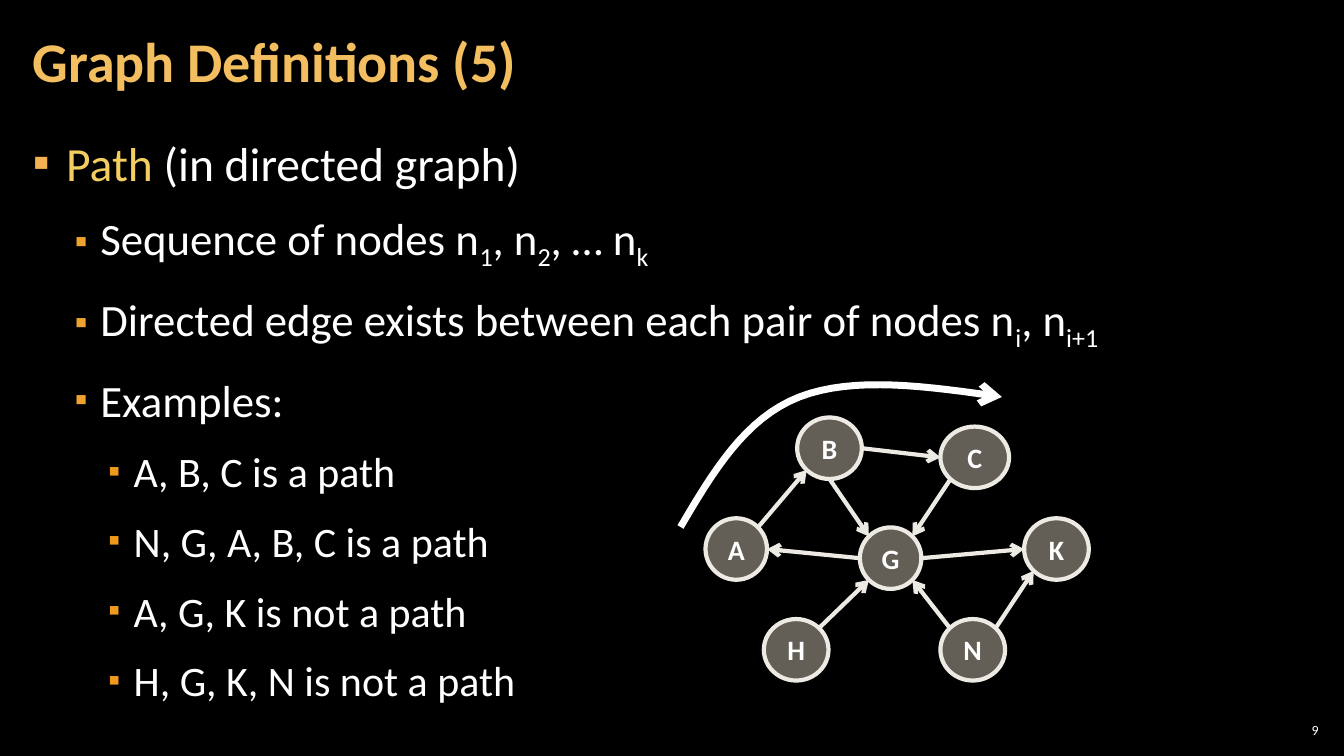
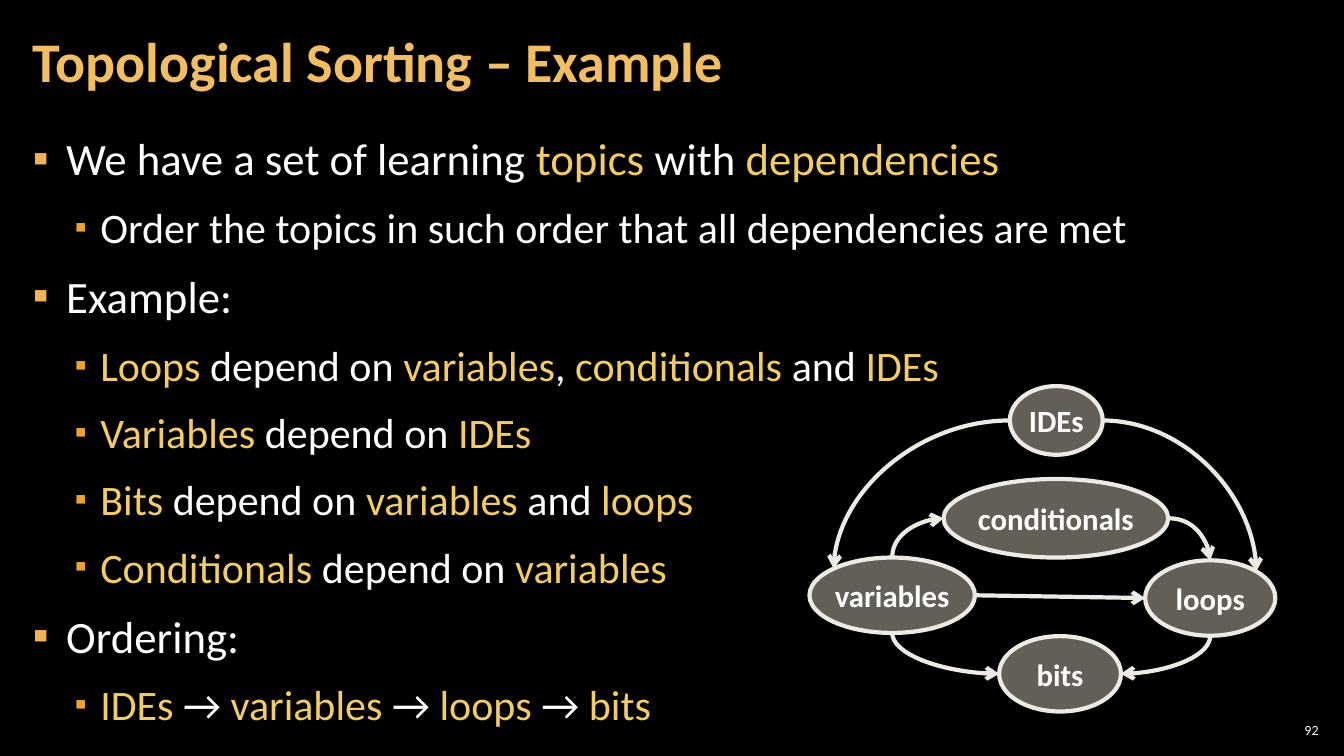
import math

import pptx
import pptx.dml.color
import pptx.enum.shapes
import pptx.enum.text
import pptx.oxml
import pptx.oxml.ns
import pptx.util
from lxml import etree

Cm = pptx.util.Cm
Pt = pptx.util.Pt
ALIGN = pptx.enum.text.PP_ALIGN
ANCHOR = pptx.enum.text.MSO_ANCHOR
CONNECTOR = pptx.enum.shapes.MSO_CONNECTOR
qn = pptx.oxml.ns.qn

FONT = "Calibri"
BLACK, WHITE = "000000", "FFFFFF"
TITLE_COLOR, HIGHLIGHT = "F3BE60", "F3CD60"
NODE_FILL, NODE_LINE = "C7BFAC", "ECEAE3"

TITLE_BOX = (0.53, 0.1, 26.6, 3.07)
BODY_BOX = (0.53, 3.2, 32.8, 15.47)
NUMBER_BOX = (32.13, 18.13, 1.2, 0.55)

LEVELS = [
    {"left": 0.84, "hang": 0.84, "color": "F2B254", "percent": 100},
    {"left": 1.7, "hang": 0.64, "color": "F0A22E", "percent": 80},
    {"left": 2.54, "hang": 0.64, "color": "EF9A1D", "percent": 80},
]
SITES = ["top", "top left", "left", "bottom left",
         "bottom", "bottom right", "right", "top right"]

PATH_LINES = [
    (0, "|Path| (in directed graph)"),
    (1, "Sequence of nodes n~1~, n~2~, … n~k"),
    (1, "Directed edge exists between each pair of nodes n~i~, n~i+1"),
    (1, "Examples:"),
    (2, "A, B, C is a path"),
    (2, "N, G, A, B, C is a path"),
    (2, "A, G, K is not a path"),
    (2, "H, G, K, N is not a path"),
]
PATH_GRAPH_BOX = (17.78, 10.52)
PATH_NODES = {
    "G": (3.89, 2.77, 1.55, 1.55),
    "C": (5.92, 0.23, 1.73, 1.55),
    "B": (2.31, 0, 1.63, 1.55),
    "A": (0, 2.54, 1.55, 1.55),
    "H": (1.47, 5.08, 1.63, 1.55),
    "N": (5.92, 5.08, 1.63, 1.55),
    "K": (8.03, 2.54, 1.63, 1.55),
}
PATH_EDGES = [
    ("C", "bottom left", "G", "top right", False),
    ("B", "right", "C", "left", False),
    ("B", "bottom", "G", "top left", False),
    ("G", "left", "A", "right", False),
    ("A", "top right", "B", "bottom left", False),
    ("H", "top right", "G", "bottom left", False),
    ("N", "top left", "G", "bottom right", False),
    ("G", "right", "K", "left", False),
    ("N", "top right", "K", "bottom left", False),
]
SWEEP_BOX = (17.15, 9.47, 8.1, 3.81)
SWEEP_CURVES = [
    [(0, 1), (0.1, 0.64), (0.2, 0.28), (0.37, 0.14)],
    [(0.37, 0.14), (0.54, 0), (0.77, 0.07), (1, 0.14)],
]

SORTING_LINES = [
    (0, "We have a set of learning |topics| with |dependencies"),
    (1, "Order the topics in such order that all dependencies are met"),
    (0, "Example:"),
    (1, "|Loops| depend on |variables|, |conditionals| and |IDEs"),
    (1, "|Variables| depend on |IDEs"),
    (1, "|Bits| depend on |variables| and |loops"),
    (1, "|Conditionals| depend on |variables"),
    (0, "Ordering:"),
    (1, "|IDEs| → |variables| → |loops| → |bits"),
]
SORTING_GRAPH_BOX = (20.4, 9.73)
SORTING_NODES = {
    "variables": (0, 4.32, 4.17, 1.9),
    "IDEs": (5.05, 0, 2.34, 1.73),
    "conditionals": (3.38, 2.34, 5.66, 1.98),
    "loops": (8.46, 4.39, 3.28, 1.9),
    "bits": (4.78, 6.3, 3.07, 1.9),
}
SORTING_EDGES = [
    ("IDEs", "left", "variables", "top left", True),
    ("IDEs", "right", "loops", "top right", True),
    ("variables", "right", "loops", "left", False),
    ("variables", "top", "conditionals", "left", True),
    ("conditionals", "right", "loops", "top", True),
    ("variables", "bottom", "bits", "left", True),
    ("loops", "bottom", "bits", "right", True),
]


def rgb(color):
    """Turn a hex string into a colour."""
    return pptx.dml.color.RGBColor.from_string(color)


def format_run(run, size, color, bold=False):
    """Give a run its font."""
    run.font.name = FONT
    run.font.size = Pt(size)
    run.font.bold = bold
    run.font.color.rgb = rgb(color)


def set_frame(text_frame, anchor, side, top):
    """Set wrapping, anchor and margins of a text frame."""
    text_frame.word_wrap = True
    text_frame.vertical_anchor = anchor
    text_frame.margin_left = text_frame.margin_right = Cm(side)
    text_frame.margin_top = text_frame.margin_bottom = Cm(top)


def add_text(slide, box, text, size, color, side=0.3, bold=False, align=ALIGN.LEFT):
    """Add a one-line text box centred vertically in its box."""
    text_frame = slide.shapes.add_textbox(*map(Cm, box)).text_frame
    set_frame(text_frame, ANCHOR.MIDDLE, side, 0.1)
    text_frame.text = text
    paragraph = text_frame.paragraphs[0]
    paragraph.alignment = align
    format_run(paragraph.runs[0], size, color, bold)
    return paragraph


def add_bullet(paragraph, level):
    """Give a paragraph the indent and square bullet of its level."""
    style = LEVELS[level]
    properties = paragraph._p.get_or_add_pPr()
    properties.set("marL", str(Cm(style["left"])))
    properties.set("indent", str(-Cm(style["hang"])))
    color = etree.SubElement(properties, qn("a:buClr"))
    etree.SubElement(color, qn("a:srgbClr"), val=style["color"])
    etree.SubElement(properties, qn("a:buSzPct"), val=str(style["percent"] * 1000))
    etree.SubElement(properties, qn("a:buFont"), typeface=FONT)
    etree.SubElement(properties, qn("a:buChar"), char="▪")


def add_marked_runs(paragraph, text, size):
    """Add runs, with bars around highlights and tildes around subscripts."""
    for bar_index, piece in enumerate(text.split("|")):
        for tilde_index, part in enumerate(piece.split("~")):
            if part:
                run = paragraph.add_run()
                run.text = part
                format_run(run, size, HIGHLIGHT if bar_index % 2 else WHITE)
                if tilde_index % 2:
                    run._r.get_or_add_rPr().set("baseline", "-25000")


def add_body(slide, box, lines, top_size, line_spacing):
    """Add the bulleted text, each level two points smaller than the last."""
    text_frame = slide.shapes.add_textbox(*map(Cm, box)).text_frame
    set_frame(text_frame, ANCHOR.TOP, 0.3, 0.1)
    for index, (level, text) in enumerate(lines):
        paragraph = text_frame.add_paragraph() if index else text_frame.paragraphs[0]
        paragraph.level = level
        add_bullet(paragraph, level)
        paragraph.line_spacing = line_spacing
        paragraph.space_before = Pt(6 if index else 0)
        paragraph.space_after = Pt(6)
        add_marked_runs(paragraph, text, top_size - 2 * level)


def set_line(shape, color, width, arrow_end=None):
    """Set the outline of a shape, with an open arrowhead if asked."""
    shape.line.color.rgb = rgb(color)
    shape.line.width = Pt(width)
    if arrow_end:
        line = shape._element.spPr.find(qn("a:ln"))
        etree.SubElement(line, qn(arrow_end), type="arrow")


def add_node(slide, box, name, size):
    """Add a half-transparent oval with its name."""
    oval = pptx.enum.shapes.MSO_SHAPE.OVAL
    shape = slide.shapes.add_shape(oval, *map(Cm, box))
    shape.shadow.inherit = False
    shape.fill.solid()
    shape.fill.fore_color.rgb = rgb(NODE_FILL)
    fill_color = shape._element.spPr.find(qn("a:solidFill"))[0]
    etree.SubElement(fill_color, qn("a:alpha"), val="50000")
    set_line(shape, NODE_LINE, 3)
    set_frame(shape.text_frame, ANCHOR.MIDDLE, 0, 0)
    shape.text_frame.word_wrap = False
    shape.text_frame.text = name
    paragraph = shape.text_frame.paragraphs[0]
    paragraph.alignment = ALIGN.CENTER
    format_run(paragraph.runs[0], size, WHITE, True)
    return shape


def site_point(node, site):
    """Find the point of a connection site on an oval."""
    angle = math.radians(90 + 45 * SITES.index(site))
    x = node.left + node.width / 2 * (1 + math.cos(angle))
    y = node.top + node.height / 2 * (1 - math.sin(angle))
    return round(x), round(y)


def add_edge(slide, nodes, source, source_site, target, target_site, curved):
    """Connect two nodes with an arrow; a curve begins on its level side."""
    ends = [(nodes[source], source_site), (nodes[target], target_site)]
    arrow_end = "a:tailEnd"
    if curved and source_site in ("top", "bottom"):
        ends.reverse()
        arrow_end = "a:headEnd"
    kind = CONNECTOR.CURVE if curved else CONNECTOR.STRAIGHT
    points = [site_point(*end) for end in ends]
    connector = slide.shapes.add_connector(kind, *points[0], *points[1])
    set_line(connector, NODE_LINE, 3, arrow_end)
    properties = connector._element.spPr
    etree.SubElement(properties, qn("a:effectLst"))
    if curved:
        properties.find(qn("a:prstGeom")).set("prst", "curvedConnector2")
    joints = connector._element.find(".//" + qn("p:cNvCxnSpPr"))
    for tag, (node, site) in zip(("a:stCxn", "a:endCxn"), ends):
        etree.SubElement(joints, qn(tag), id=str(node.shape_id),
                         idx=str(SITES.index(site)))


def add_graph(slide, box, node_boxes, edges, size):
    """Draw a directed graph from the top left corner it is given."""
    left, top = box
    nodes = {
        name: add_node(slide, (left + x, top + y, width, height), name, size)
        for name, (x, y, width, height) in node_boxes.items()
    }
    for edge in edges:
        add_edge(slide, nodes, *edge)


def curve_point(controls, t):
    """Find a point on a cubic curve."""
    weights = [math.comb(3, k) * t ** k * (1 - t) ** (3 - k) for k in range(4)]
    return [sum(w * point[axis] for w, point in zip(weights, controls))
            for axis in (0, 1)]


def add_sweep(slide, box, curves):
    """Draw the sweeping arrow that fills its box."""
    left, top, width, height = box
    steps = 16
    points = [curve_point(curves[0], 0)]
    for controls in curves:
        points += [curve_point(controls, step / steps) for step in range(1, steps + 1)]
    points = [(Cm(left + width * x), Cm(top + height * y)) for x, y in points]
    builder = slide.shapes.build_freeform(*points[0])
    builder.add_line_segments(points[1:], close=False)
    arrow = builder.convert_to_shape()
    arrow.shadow.inherit = False
    arrow.fill.background()
    set_line(arrow, WHITE, 5, "a:tailEnd")


def add_base_slide(presentation, title, number):
    """Add a slide with its title and number."""
    slide = presentation.slides.add_slide(presentation.slide_layouts[6])
    slide.background.fill.solid()
    slide.background.fill.fore_color.rgb = rgb(BLACK)
    heading = add_text(slide, TITLE_BOX, title, 40, TITLE_COLOR, bold=True)
    heading.line_spacing = 0.9
    add_text(slide, NUMBER_BOX, number, 10, WHITE, side=0.1, align=ALIGN.RIGHT)
    return slide


def main():
    """Build and save the presentation."""
    presentation = pptx.Presentation()
    presentation.slide_width = Cm(33.87)
    presentation.slide_height = Cm(19.05)

    slide = add_base_slide(presentation, "Graph Definitions (5)", "9")
    add_body(slide, BODY_BOX, PATH_LINES, 34, 1.05)
    add_sweep(slide, SWEEP_BOX, SWEEP_CURVES)
    add_graph(slide, PATH_GRAPH_BOX, PATH_NODES, PATH_EDGES, 20)

    slide = add_base_slide(presentation, "Topological Sorting – Example", "92")
    add_body(slide, BODY_BOX, SORTING_LINES, 32, 1.0)
    add_graph(slide, SORTING_GRAPH_BOX, SORTING_NODES, SORTING_EDGES, 22)

    presentation.save("out.pptx")


if __name__ == "__main__":
    main()
